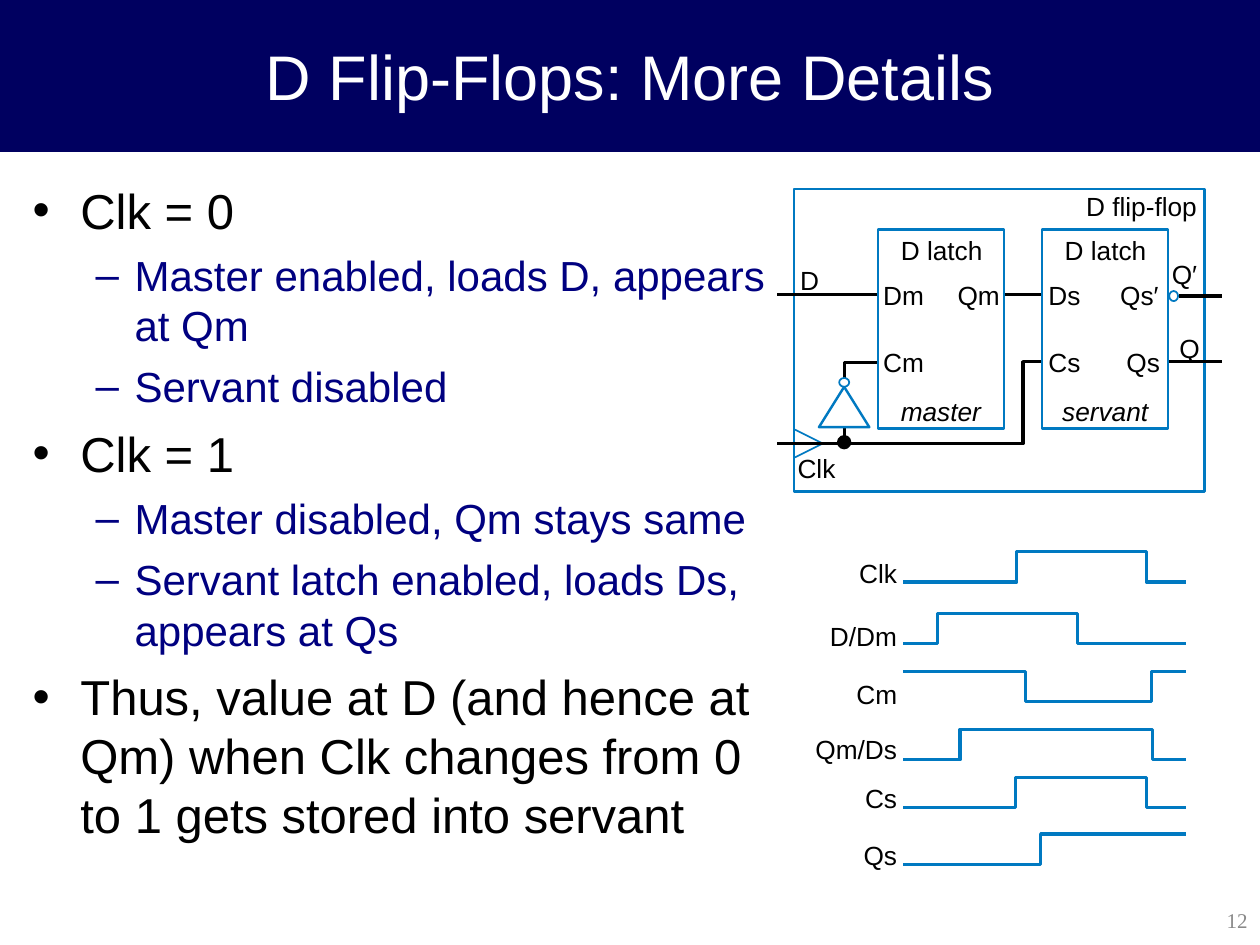
from lxml.etree import SubElement
from pptx import Presentation
from pptx.dml.color import RGBColor
from pptx.enum.shapes import MSO_CONNECTOR as Connector, MSO_SHAPE as Shape
from pptx.enum.text import MSO_ANCHOR as Anchor, MSO_AUTO_SIZE as AutoSize, PP_ALIGN as Align
from pptx.oxml.ns import qn
from pptx.util import Inches, Pt

NAVY = RGBColor(0x00, 0x00, 0x60)
INDIGO = RGBColor(0x00, 0x00, 0x80)
BLUE = RGBColor(0x00, 0x79, 0xC1)
BLACK = RGBColor(0x00, 0x00, 0x00)
WHITE = RGBColor(0xFF, 0xFF, 0xFF)
GRAY = RGBColor(0x89, 0x89, 0x89)

THIN, MEDIUM, THICK = 0.99, 1.39, 1.87
WAVE_LEFT, WAVE_RIGHT, WAVE_HEIGHT = 7.17, 9.41, 0.24
LABEL_RIGHT = 7.12

BODY = [
    (0, "Clk = 0"),
    (1, "Master enabled, loads D, appears at Qm"),
    (1, "Servant disabled"),
    (0, "Clk = 1"),
    (1, "Master disabled, Qm stays same"),
    (1, "Servant latch enabled, loads Ds, appears at Qs"),
    (0, "Thus, value at D (and hence at Qm) when Clk changes from 0 to 1 gets stored into servant"),
]
LEVELS = [
    (28, BLACK, "•", 0.38, -0.38, 7),
    (24, INDIGO, "–", 0.81, -0.31, 6),
]
LATCHES = [(6.97, "master", 0.18, 0.66), (8.27, "servant", 0.16, 0.72)]
PIN_LABELS = [
    ("D", 6.35, 2.1, 0.17), ("Dm", 7.01, 2.22, 0.35), ("Qm", 7.6, 2.22, 0.36),
    ("Ds", 8.32, 2.22, 0.28), ("Qs′", 8.89, 2.22, 0.35), ("Q′", 9.3, 2.05, 0.25),
    ("Cm", 7.01, 2.75, 0.35), ("Cs", 8.32, 2.75, 0.28), ("Qs", 8.94, 2.75, 0.29),
    ("Q", 9.36, 2.64, 0.18), ("Clk", 6.33, 3.59, 0.33), ("D flip-flop", 8.62, 1.51, 0.9),
]
WIRES = [
    (6.7, 3.52, 6.7, 3.39), (6.17, 2.34, 6.97, 2.34), (7.96, 2.34, 8.26, 2.34),
    (9.36, 2.35, 9.7, 2.35), (9.27, 2.87, 9.7, 2.87),
]
SIGNALS = [
    ("Clk", 0.33, 4.42, 4.38, False, [8.07, 9.1]),
    ("D/Dm", 0.56, 4.92, 4.87, False, [7.44, 8.55]),
    ("Cm", 0.35, 5.38, 5.33, True, [8.14, 9.14]),
    ("Qm/Ds", 0.68, 5.82, 5.79, False, [7.62, 9.15]),
    ("Cs", 0.28, 6.21, 6.17, False, [8.06, 9.1]),
    ("Qs", 0.29, 6.66, 6.62, False, [8.26]),
]


def add_run(paragraph, text, size, color, font="Arial", italic=False):
    run = paragraph.add_run()
    run.text = text
    run.font.size = Pt(size)
    run.font.name = font
    run.font.color.rgb = color
    run.font.italic = italic


def add_text_box(slide, left, top, width, height, anchor=Anchor.TOP):
    box = slide.shapes.add_textbox(Inches(left), Inches(top), Inches(width), Inches(height))
    frame = box.text_frame
    frame.word_wrap = True
    frame.vertical_anchor = anchor
    return frame


def add_label(slide, text, left, top, width, italic=False, align=Align.LEFT):
    frame = add_text_box(slide, left, top, width, 0.25)
    frame.word_wrap = False
    frame.auto_size = AutoSize.SHAPE_TO_FIT_TEXT
    frame.margin_left = frame.margin_top = frame.margin_right = frame.margin_bottom = 0
    frame.paragraphs[0].alignment = align
    add_run(frame.paragraphs[0], text, 15, BLACK, italic=italic)


def style(shape, line, weight, fill=None):
    shape.shadow.inherit = False
    if fill is None:
        shape.fill.background()
    else:
        shape.fill.solid()
        shape.fill.fore_color.rgb = fill
    shape.line.color.rgb = line
    shape.line.width = Pt(weight)


def add_preset(slide, kind, left, top, width, height, line, weight, fill=None):
    shape = slide.shapes.add_shape(kind, Inches(left), Inches(top), Inches(width), Inches(height))
    style(shape, line, weight, fill)


def add_path(slide, points, line, weight, fill=None, close=False):
    corners = [(Inches(x), Inches(y)) for x, y in points]
    builder = slide.shapes.build_freeform(*corners[0])
    builder.add_line_segments(corners[1:], close=close)
    style(builder.convert_to_shape(), line, weight, fill)


def add_wire(slide, *ends):
    wire = slide.shapes.add_connector(Connector.STRAIGHT, *map(Inches, ends))
    wire.line.color.rgb = BLACK
    wire.line.width = Pt(THICK)
    SubElement(wire.element.spPr, qn("a:effectLst"))


def add_title(slide):
    add_preset(slide, Shape.RECTANGLE, 0, 0, 10, 1.2, NAVY, 0.74, NAVY)
    paragraph = add_text_box(slide, 0, 0, 10, 1.2, Anchor.MIDDLE).paragraphs[0]
    paragraph.alignment = Align.CENTER
    add_run(paragraph, "D Flip-Flops: More Details", 36, WHITE)


def add_body(slide):
    frame = add_text_box(slide, 0.16, 1.38, 6.02, 5.72)
    for index, (level, text) in enumerate(BODY):
        size, color, bullet, margin, indent, space = LEVELS[level]
        paragraph = frame.add_paragraph() if index else frame.paragraphs[0]
        paragraph.level = level
        paragraph.space_before = Pt(space)
        properties = paragraph._p.get_or_add_pPr()
        properties.set("marL", str(Inches(margin)))
        properties.set("indent", str(Inches(indent)))
        SubElement(properties, qn("a:buFont"), typeface="Arial")
        SubElement(properties, qn("a:buChar"), char=bullet)
        add_run(paragraph, text, size, color)


def add_circuit(slide):
    add_preset(slide, Shape.RECTANGLE, 6.3, 1.5, 3.26, 2.4, BLUE, MEDIUM)
    add_path(slide, [(6.7, 3.05), (6.7, 2.88), (6.96, 2.88)], BLACK, THICK)
    for wire in WIRES:
        add_wire(slide, *wire)
    add_path(slide, [(6.9, 3.39), (6.7, 3.07), (6.5, 3.39)], BLUE, MEDIUM, WHITE, True)
    add_preset(slide, Shape.OVAL, 6.66, 3, 0.08, 0.07, BLUE, THIN, WHITE)
    add_path(slide, [(6.31, 3.63), (6.53, 3.52), (6.31, 3.41)], BLUE, THIN)
    add_path(slide, [(6.17, 3.52), (8.12, 3.52), (8.12, 2.87), (8.27, 2.87)], BLACK, THICK)
    for left, role, offset, width in LATCHES:
        add_preset(slide, Shape.RECTANGLE, left, 1.82, 1, 1.58, BLUE, MEDIUM)
        add_label(slide, "D latch", left + 0.18, 1.86, 0.67)
        add_label(slide, role, left + offset, 3.14, width, italic=True)
    add_preset(slide, Shape.OVAL, 6.65, 3.46, 0.1, 0.1, BLACK, THIN, BLACK)
    add_preset(slide, Shape.OVAL, 9.28, 2.31, 0.07, 0.08, BLUE, THIN, WHITE)
    for label in PIN_LABELS:
        add_label(slide, *label)


def add_signal(slide, name, width, label_top, top, high, edges):
    add_label(slide, name, LABEL_RIGHT - width, label_top, width, align=Align.RIGHT)
    levels = {True: top, False: top + WAVE_HEIGHT}
    points = [(WAVE_LEFT, levels[high])]
    for edge in edges:
        points += [(edge, levels[high]), (edge, levels[not high])]
        high = not high
    points.append((WAVE_RIGHT, levels[high]))
    add_path(slide, points, BLUE, THICK)


def add_slide_number(slide):
    paragraph = add_text_box(slide, 7.88, 7.1, 2.12, 0.4, Anchor.MIDDLE).paragraphs[0]
    paragraph.alignment = Align.RIGHT
    add_run(paragraph, "12", 12, GRAY, "Times New Roman")


def main():
    presentation = Presentation()
    presentation.slide_width = Inches(10)
    presentation.slide_height = Inches(7.5)
    slide = presentation.slides.add_slide(presentation.slide_layouts[6])
    add_title(slide)
    add_body(slide)
    add_slide_number(slide)
    add_circuit(slide)
    for signal in SIGNALS:
        add_signal(slide, *signal)
    presentation.save("out.pptx")


main()
